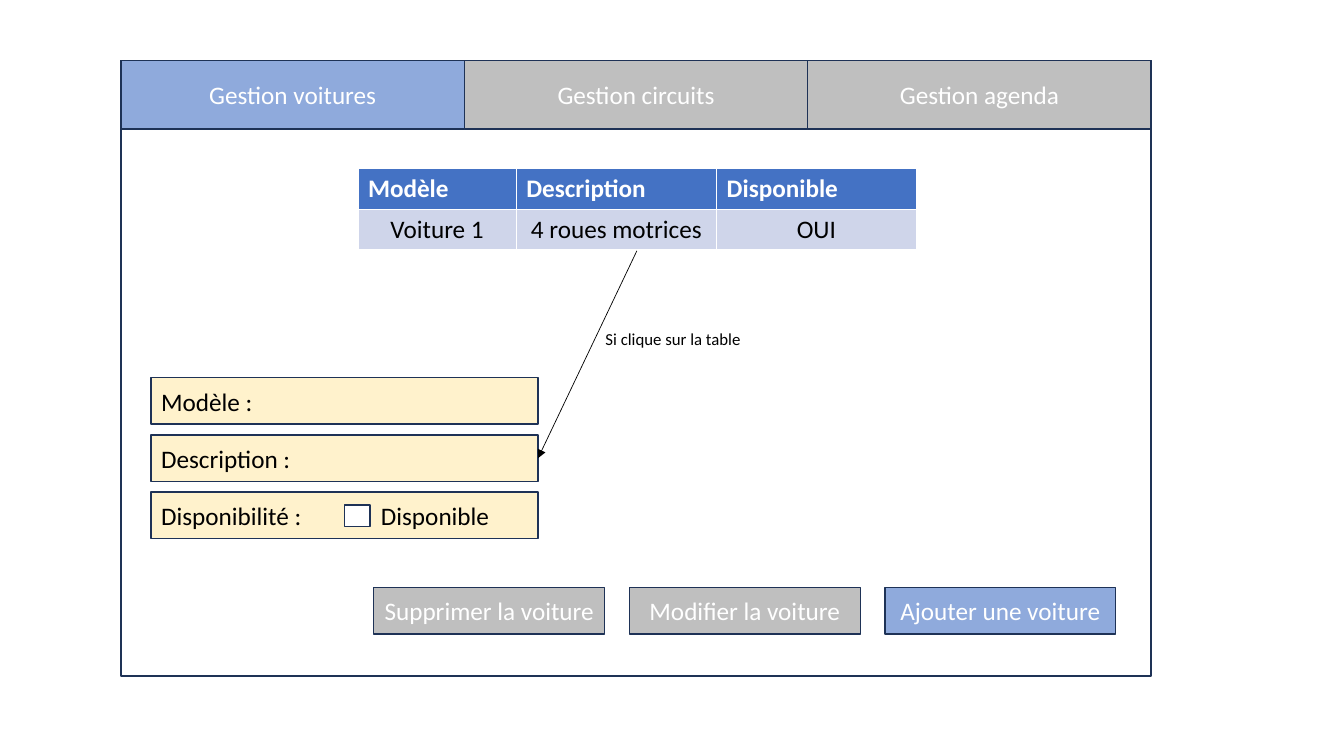
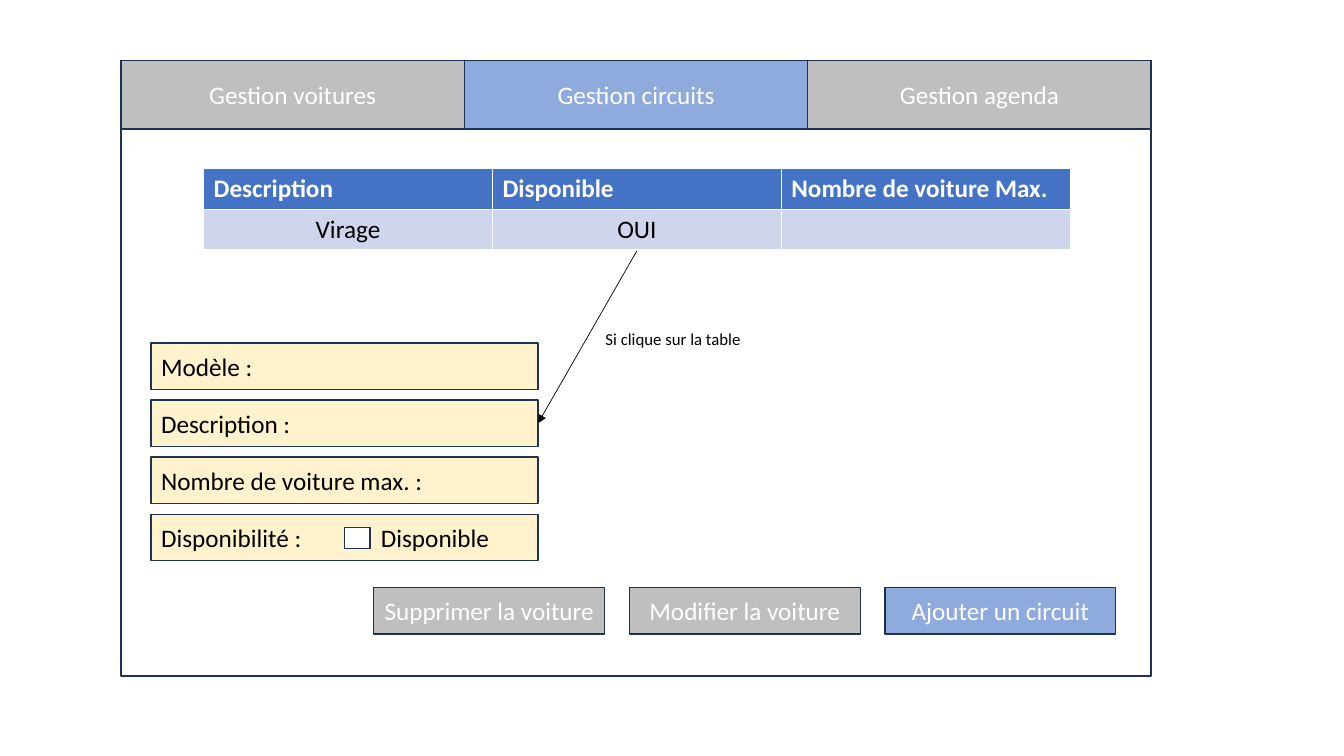
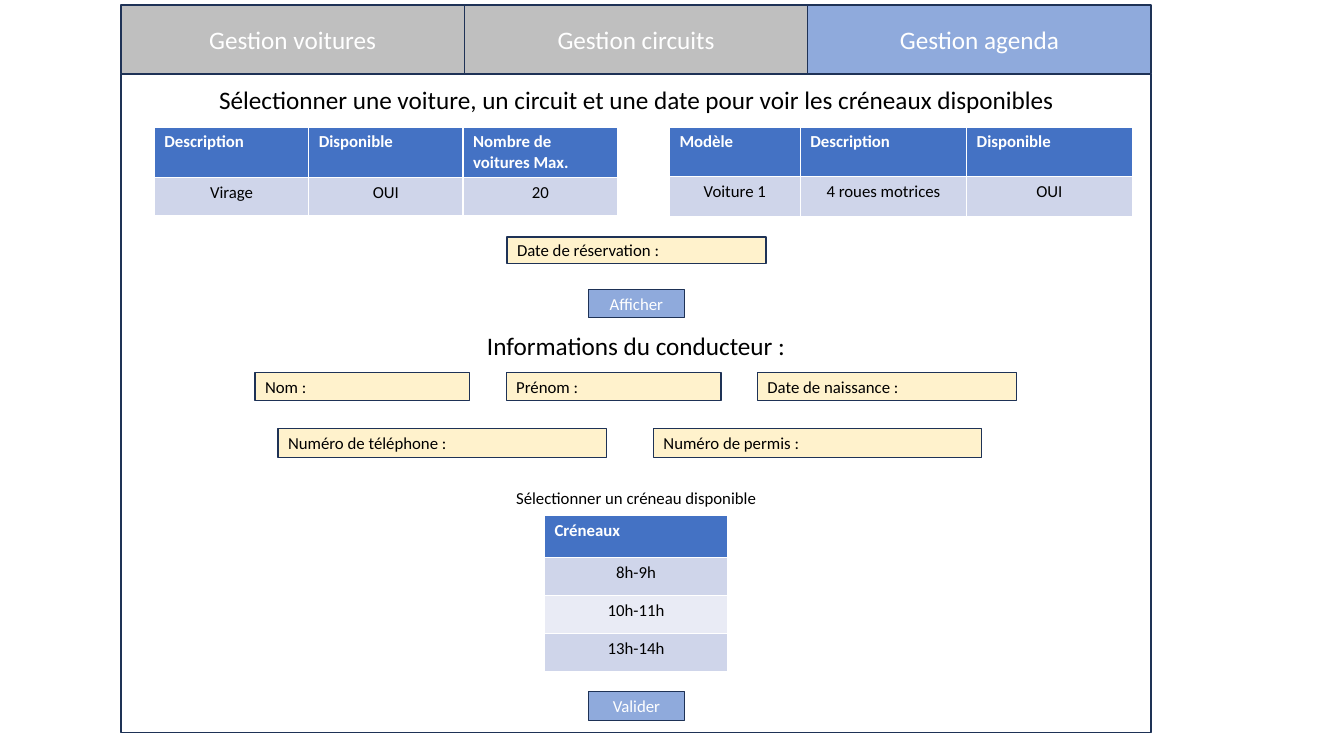
import pptx
import pptx.util
import pptx.dml.color
import pptx.enum.shapes
import pptx.enum.text
import pptx.oxml.ns
from lxml import etree

Cm = pptx.util.Cm
Pt = pptx.util.Pt
RGBColor = pptx.dml.color.RGBColor
ALIGN = pptx.enum.text.PP_ALIGN
MIDDLE = pptx.enum.text.MSO_ANCHOR.MIDDLE
RECT = pptx.enum.shapes.MSO_SHAPE.RECTANGLE
qn = pptx.oxml.ns.qn

# Colours
WHITE = RGBColor(0xFF, 0xFF, 0xFF)
BLACK = RGBColor(0x00, 0x00, 0x00)
NAVY = RGBColor(0x1E, 0x32, 0x56)
BLUE = RGBColor(0x8F, 0xAA, 0xDC)
GREY = RGBColor(0xBF, 0xBF, 0xBF)
CREAM = RGBColor(0xFF, 0xF2, 0xCC)
HEAD = RGBColor(0x44, 0x72, 0xC4)
BANDS = (RGBColor(0xCF, 0xD5, 0xEA), RGBColor(0xE9, 0xEB, 0xF5))

# Shared layout, in centimetres
LEFT, WIDTH = 3.05, 25.96
TAB_H = 1.73
TABS = ("Gestion voitures", "Gestion circuits", "Gestion agenda")
FIELD_W, FIELD_H, FIELD_STEP = 9.75, 1.17, 1.44
BTN_X, BTN_Y, BTN_W, BTN_STEP = 9.42, 14.81, 5.82, 6.44
CARS = (("Modèle", "Description", "Disponible"),
        ("Voiture 1", "4 roues motrices", "OUI"))


def place(x, y, w, h):
    return [Cm(n) for n in (x, y, w, h)]


# Text
def write(frame, text, size, color, align=ALIGN.LEFT, bold=False):
    frame.text = text
    look = {"name": "Calibri", "size": Pt(size), "bold": bold}
    for para in frame.paragraphs:
        para.alignment = align
        for run in para.runs:
            for key, value in look.items():
                setattr(run.font, key, value)
            run.font.color.rgb = color


def label(slide, text, x, y, w, h, size, align=ALIGN.CENTER):
    frame = slide.shapes.add_textbox(*place(x, y, w, h)).text_frame
    frame.word_wrap = True
    write(frame, text, size, BLACK, align)


# Boxes
def box(slide, x, y, w, h, fill):
    shape = slide.shapes.add_shape(RECT, *place(x, y, w, h))
    shape.shadow.inherit = False
    shape.fill.solid()
    shape.fill.fore_color.rgb = fill
    shape.line.color.rgb = NAVY
    shape.line.width = Pt(1)
    shape.text_frame.vertical_anchor = MIDDLE
    return shape


def button(slide, text, x, y, w, h, fill=BLUE, size=18):
    shape = box(slide, x, y, w, h, fill)
    write(shape.text_frame, text, size, WHITE, ALIGN.CENTER)


def field(slide, text, x, y, w, h, size=18):
    shape = box(slide, x, y, w, h, CREAM)
    write(shape.text_frame, text, size, BLACK)
    return shape


def field_row(slide, x, y, h, gap, items):
    for text, w in items:
        field(slide, text, x, y, w, h, 12)
        x += w + gap


def check_field(slide, x, y):
    shape = field(slide, "Disponibilité :\tDisponible", x, y, FIELD_W, FIELD_H)
    props = shape.text_frame.paragraphs[0]._p.get_or_add_pPr()
    stops = etree.SubElement(props, qn("a:tabLst"))
    etree.SubElement(stops, qn("a:tab"), pos=str(Cm(5.54)), algn="l")
    box(slide, x + 4.88, y + 0.33, 0.64, 0.54, WHITE)


# Table with a header row and banded body rows
def grid(slide, x, y, widths, heights, rows, size=18):
    area = place(x, y, sum(widths), sum(heights))
    table = slide.shapes.add_table(len(rows), len(widths), *area).table
    for col, w in zip(table.columns, widths):
        col.width = Cm(w)
    for r, (row, h) in enumerate(zip(rows, heights)):
        table.rows[r].height = Cm(h)
        for c, text in enumerate(row):
            cell = table.cell(r, c)
            cell.fill.solid()
            if r == 0:
                cell.fill.fore_color.rgb = HEAD
                write(cell.text_frame, text, size, WHITE, bold=True)
            else:
                cell.fill.fore_color.rgb = BANDS[(r - 1) % 2]
                write(cell.text_frame, text, size, BLACK, ALIGN.CENTER)


# Arrow from a point to the right side of a box
def arrow(slide, x, y, goal):
    kind = pptx.enum.shapes.MSO_CONNECTOR.STRAIGHT
    line = slide.shapes.add_connector(kind, Cm(x), Cm(y), Cm(x), Cm(y))
    line.end_connect(goal, 3)
    line.line.color.rgb = BLACK
    line.line.width = Pt(0.5)
    etree.SubElement(line.line._get_or_add_ln(), qn("a:tailEnd"), type="triangle")
    etree.SubElement(line._element.spPr, qn("a:effectLst"))


# Window frame with its three tabs
def window(deck, active, tab_y, y, h):
    slide = deck.slides.add_slide(deck.slide_layouts[6])
    box(slide, LEFT, y, WIDTH, h, WHITE)
    w = WIDTH / len(TABS)
    for i, text in enumerate(TABS):
        fill = BLUE if i == active else GREY
        button(slide, text, LEFT + i * w, tab_y, w, TAB_H, fill)
    return slide


# Page that lists items and edits one of them
def edit_page(deck, active, x, widths, rows, top, names, add):
    slide = window(deck, active, 1.52, 1.52, 15.52)
    grid(slide, x, 4.24, widths, (1.03, 1.03), rows)
    left = 3.81
    fields = [field(slide, text, left, top + i * FIELD_STEP, FIELD_W, FIELD_H)
              for i, text in enumerate(names)]
    check_field(slide, left, top + len(names) * FIELD_STEP)
    arrow(slide, 16.05, 6.32, fields[1])
    label(slide, "Si clique sur la table", 15.01, 8.15, 4.32, 0.77, 12, ALIGN.LEFT)
    tasks = (("Supprimer la voiture", GREY), ("Modifier la voiture", GREY), (add, BLUE))
    for i, (text, fill) in enumerate(tasks):
        button(slide, text, BTN_X + i * BTN_STEP, BTN_Y, BTN_W, FIELD_H, fill)


# Booking page
def book_page(deck):
    slide = window(deck, 2, 0.13, 1.87, 16.59)
    label(slide, "Sélectionner une voiture, un circuit et une date pour voir les créneaux disponibles",
          4.88, 2, 22.33, 1.03, 18)
    tracks = (("Description", "Disponible", "Nombre de\nvoitures Max."),
              ("Virage", "OUI", "20"))
    grid(slide, 3.89, 3.2, (3.89,) * 3, (1.28, 0.96), tracks, 12)
    grid(slide, 16.87, 3.2, (3.3, 4.19, 4.17), (1.24, 1.03), CARS, 12)
    field(slide, "Date de réservation :", 12.78, 5.97, 6.53, 0.67, 12)
    button(slide, "Afficher", 14.83, 7.29, 2.42, 0.72, size=12)

    # Driver
    label(slide, "Informations du conducteur :", 11.61, 8.2, 8.84, 1.03, 18)
    field_row(slide, 6.43, 9.38, 0.72, 0.92,
              (("Nom :", 5.41), ("Prénom :", 5.41), ("Date de naissance :", 6.53)))
    field_row(slide, 7.01, 10.8, 0.73, 1.19,
              (("Numéro de téléphone :", 8.27), ("Numéro de permis :", 8.27)))

    # Time slots
    label(slide, "Sélectionner un créneau disponible", 11.07, 12.17, 9.93, 0.77, 12)
    slots = [(text,) for text in ("Créneaux", "8h-9h", "10h-11h", "13h-14h")]
    grid(slide, 13.72, 12.98, (4.62,), (1.07, 0.96, 0.96, 0.96), slots, 12)
    button(slide, "Valider", 14.83, 17.43, 2.42, 0.72, size=12)


def main():
    deck = pptx.Presentation()
    deck.slide_width, deck.slide_height = Cm(33.87), Cm(19.05)
    edit_page(deck, 0, 9.02, (3.99, 5.05, 5.03), CARS, 9.52,
              ("Modèle :", "Description :"), "Ajouter une voiture")
    tracks = (("Description", "Disponible", "Nombre de voiture Max."),
              ("Virage", "OUI", ""))
    edit_page(deck, 1, 5.13, (7.28,) * 3, tracks, 8.64,
              ("Modèle :", "Description :", "Nombre de voiture max. :"),
              "Ajouter un circuit")
    book_page(deck)
    deck.save("out.pptx")


if __name__ == "__main__":
    main()
